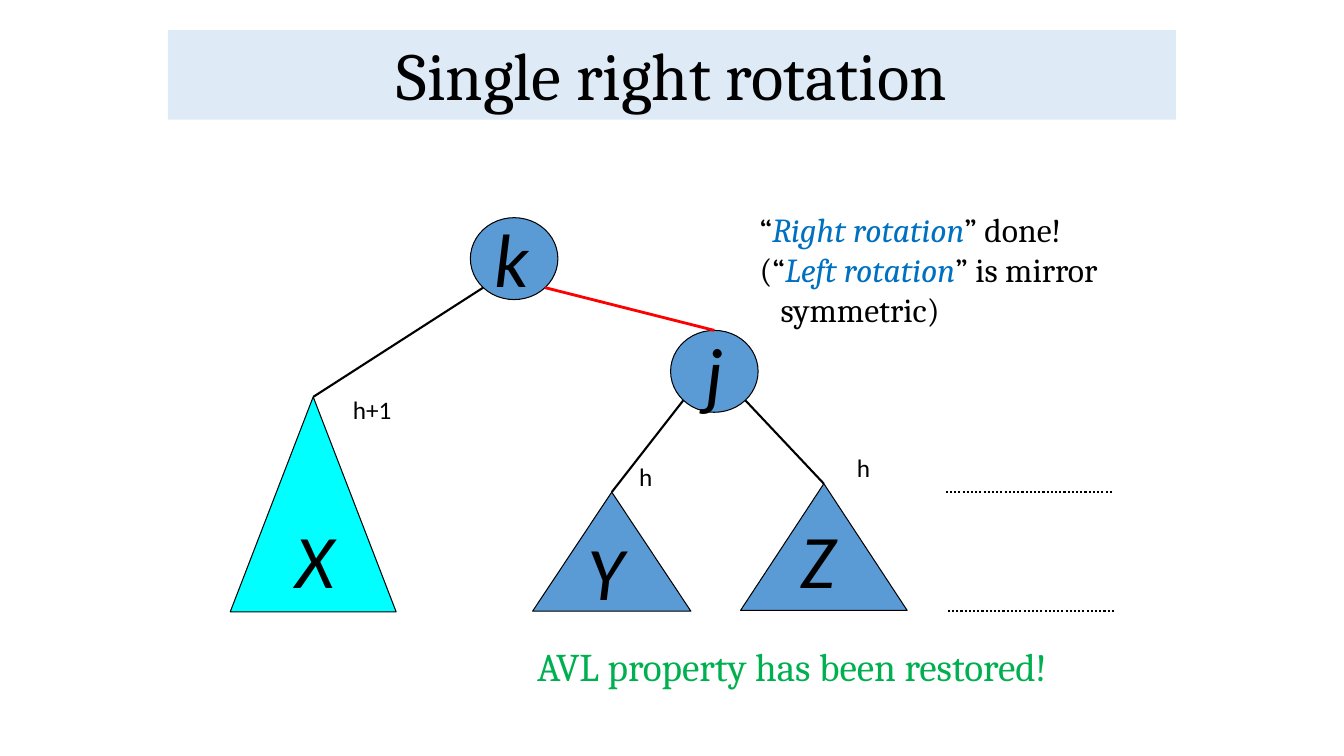
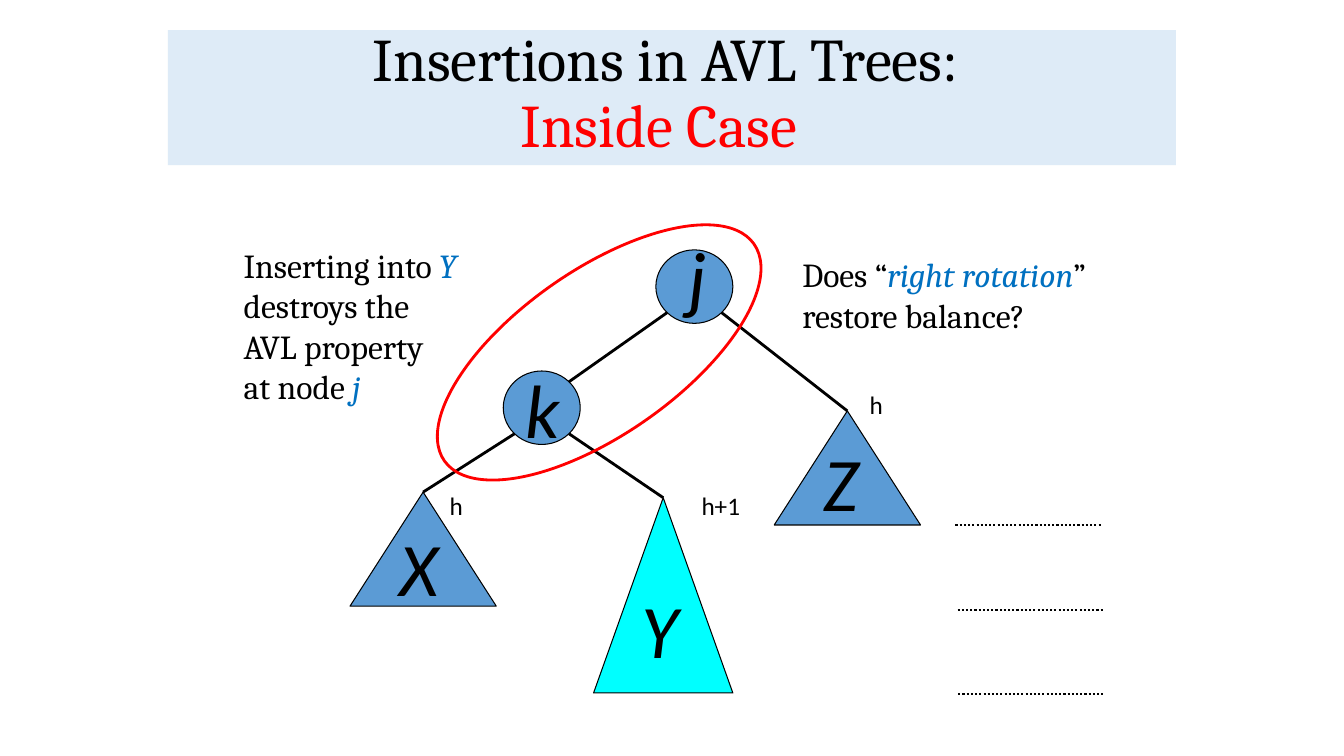
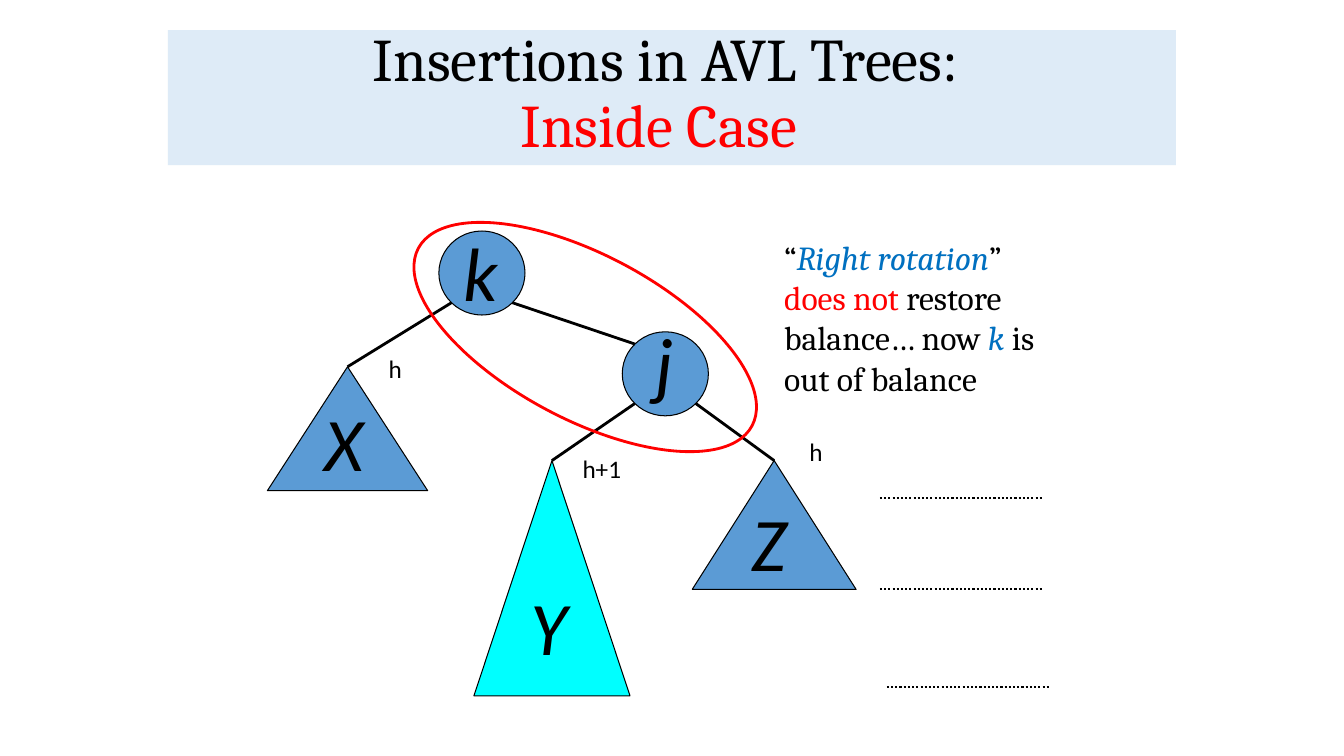
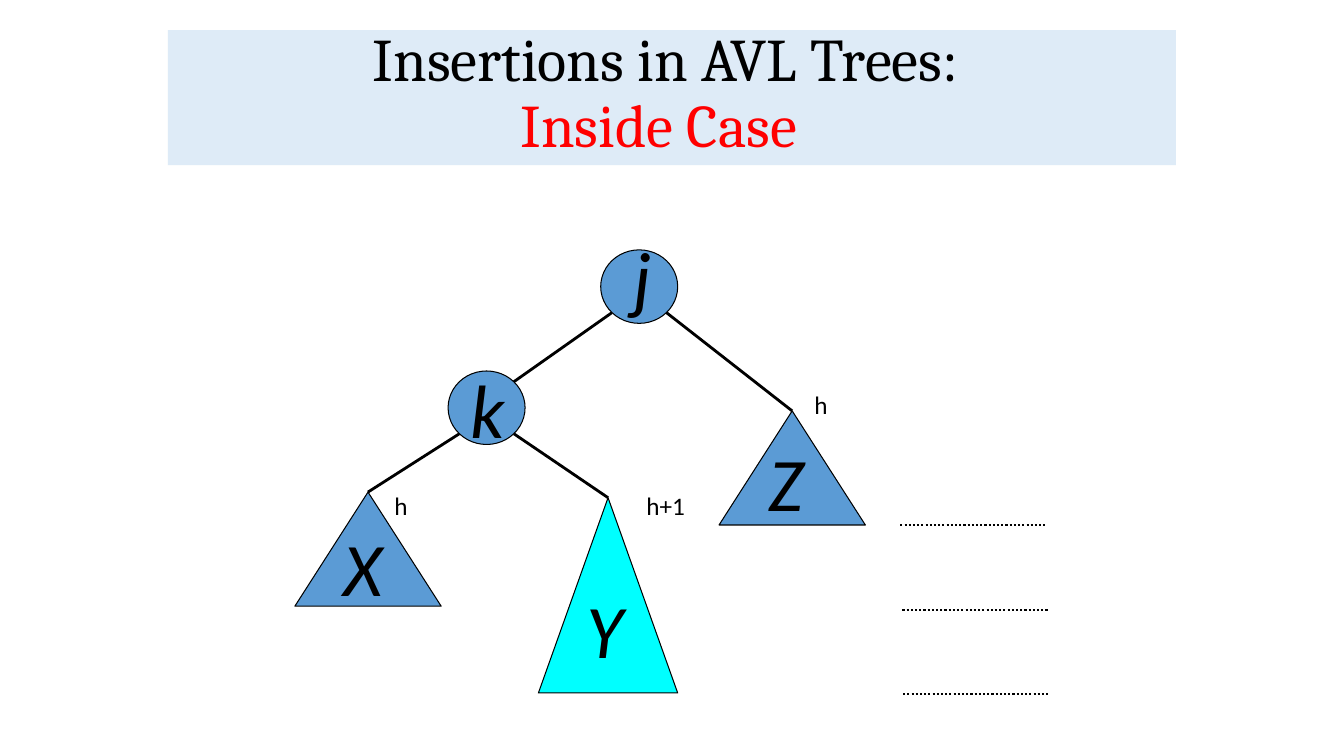
from pptx import Presentation
from pptx.dml.color import RGBColor
from pptx.enum import dml, shapes, text
from pptx.oxml.ns import qn
from pptx.util import Pt
from lxml import etree

COLORS = {"band": "DEEBF7", "node": "5B9BD5", "grown": "00FFFF", "ink": "000000",
          "term": "0070C0", "alert": "FF0000", "good": "00B050"}
HEAD, BODY = "Cambria", "Calibri"

ROTATION = {
    "title": [["Single right rotation"]], "title_size": 48, "band_h": 64,
    "circle": (62.5, 58.5),
    "nodes": {"j": (479, 236, None), "k": (336, 155.5, (346.5, 147.5))},
    "subtrees": {"X": (164.5, 283.5, 118.5, 153.5, (204, 363), "grown"),
                 "Y": (380.5, 351.5, 113, 85, (412.5, 371.5), "node"),
                 "Z": (529, 345.5, 119, 90.5, (565, 363), "node")},
    "edges": [("k", "X", "ink", 1.5), ("j", "Y", "ink", 1.5), ("j", "Z", "ink", 1.5),
              ("k", "j", "alert", 2)],
    "top_entry": {"j"},
    "levels": [(675.5, 351.5), (677, 436.5)], "level_w": 119,
    "heights": [("h", 605, 319.5), ("h+1", 245, 278), ("h", 449.5, 326)],
    "notes": [
        (535.5, 145.5, 282, 94, 24, False, [
            ["“", ("Right rotation", "term"), "” done!"],
            ["(“", ("Left rotation", "term"), "” is mirror"],
            {"runs": ["symmetric)"], "marL": 15}]),
        (355.5, 455.5, 420.5, 41, 28, True,
         [[("AVL property has been restored!", "good")]])],
}

INSIDE = {
    "title": [{"runs": ["Insertions in AVL Trees:"], "marR": 9.5},
              {"runs": [("Inside Case", "alert")], "marR": 19}],
    "title_size": 43.2, "band_h": 96.5,
    "circle": (55, 52.5),
    "nodes": {"j": (468.5, 178.5, (484.5, 160.5)), "k": (359.5, 265, (368.5, 255.5))},
    "subtrees": {"X": (250, 351.5, 104.5, 81.5, (278, 368.5), "node"),
                 "Y": (424, 355.5, 99.5, 139.5, (451.5, 412.5), "grown"),
                 "Z": (553, 293.5, 104.5, 81.5, (581, 307.5), "node")},
    "edges": [("j", "k", "ink", 2), ("k", "X", "ink", 2), ("k", "Y", "ink", 2),
              ("j", "Z", "ink", 2)],
    "levels": [(682.5, 375), (684, 435.5), (684.5, 495.5)], "level_w": 104.5,
    "heights": [("h", 614, 274.5), ("h+1", 494, 346.5), ("h", 314, 346.5)],
    "notes": [
        (167, 171.5, 188, 124, 24, False, [
            ["Inserting into ", ("Y", "term")], ["destroys the"], ["AVL property"],
            ["at node ", ("j", "term")]]),
        (566, 178, 243.5, 65.5, 24, False, [
            ["Does “", ("right rotation", "term"), "”"], ["restore balance?"]])],
    "ring": (293, 193, 325),
}

UNBALANCED = INSIDE | {
    "circle": (61.5, 60),
    "nodes": {"j": (444.5, 237, (461.5, 222)), "k": (313.5, 165, (324, 157.5))},
    "subtrees": {"X": (191, 262, 114.5, 88.5, (224.5, 279.5), "node"),
                 "Y": (338.5, 329, 111.5, 168, (372, 410.5), "grown"),
                 "Z": (494.5, 329, 117, 92, (530, 350.5), "node")},
    "edges": [("j", "Y", "ink", 2), ("k", "X", "ink", 2), ("j", "Z", "ink", 2),
              ("k", "j", "ink", 2)],
    "levels": [(628.5, 355.5), (628.5, 421), (633.5, 490.5)], "level_w": 117,
    "heights": [("h", 571, 308), ("h+1", 409, 320.5), ("h", 270.5, 248.5)],
    "notes": [(553, 165.5, 209.5, 124, 24, False, [
        ["“", ("Right rotation", "term"), "”"],
        [("does not ", "alert"), "restore"],
        ["balance… now ", ("k", "term"), " is"],
        ["out of balance"]])],
    "ring": (283, 182, 28),
}

SLIDES = [(ROTATION, 0), (INSIDE, 0), (UNBALANCED, 0),
          (INSIDE | {"notes": [], "ring": None}, -39.4)]


def rgb(name):
    return RGBColor.from_string(COLORS[name])


def write(tf, paras, size, font, center=False, italic=False, spacing=None):
    for i, para in enumerate(paras):
        para = para if isinstance(para, dict) else {"runs": para}
        p = tf.paragraphs[0] if i == 0 else tf.add_paragraph()
        p.alignment = text.PP_ALIGN.CENTER if center else text.PP_ALIGN.LEFT
        p.line_spacing = spacing
        for side in ("marL", "marR"):
            if side in para:
                p._p.get_or_add_pPr().set(side, str(Pt(para[side])))
        for run in para["runs"]:
            words, color = run if isinstance(run, tuple) else (run, "ink")
            r = p.add_run()
            r.text = words
            r.font.size, r.font.name = Pt(size), font
            r.font.italic = italic or color == "term"
            r.font.color.rgb = rgb(color)


def add_text(s, x, y, w, h, paras, size, font, **style):
    tf = s.shapes.add_textbox(Pt(x), Pt(y), Pt(w), Pt(h)).text_frame
    tf.word_wrap = True
    write(tf, paras, size, font, **style)


def add_letter(s, letter, x, y):
    add_text(s, x, y, 44, 72, [[letter]], 54, BODY, italic=True)


def add_figure(s, kind, x, y, w, h, fill=None, line="ink", width=0.75):
    sp = s.shapes.add_shape(kind, Pt(x), Pt(y), Pt(w), Pt(h))
    sp.shadow.inherit = False
    if fill:
        sp.fill.solid()
        sp.fill.fore_color.rgb = rgb(fill)
    else:
        sp.fill.background()
    sp.line.color.rgb, sp.line.width = rgb(line), Pt(width)
    return sp


def add_line(s, start, end, color, width, dotted=False):
    c = s.shapes.add_connector(shapes.MSO_CONNECTOR.STRAIGHT, *map(Pt, start + end))
    c.line.color.rgb, c.line.width = rgb(color), Pt(width)
    if dotted:
        c.line.dash_style = dml.MSO_LINE.ROUND_DOT
    etree.SubElement(c._element.spPr, qn("a:effectLst"))


def add_title(s, d):
    sp = s.shapes.title
    sp.left, sp.top, sp.width, sp.height = Pt(120), Pt(21.5), Pt(720), Pt(d["band_h"])
    sp.fill.solid()
    sp.fill.fore_color.rgb = rgb("band")
    tf = sp.text_frame
    tf.auto_size = text.MSO_AUTO_SIZE.NONE
    tf.vertical_anchor = text.MSO_ANCHOR.BOTTOM
    write(tf, d["title"], d["title_size"], HEAD, center=True, spacing=0.9)


def add_tree(s, d, dx):
    w, h = d["circle"]
    nodes, subtrees = d["nodes"], d["subtrees"]

    def rim(node, right, low):
        x, y, _ = nodes[node]
        return (x + dx + w * (0.854 if right else 0.146),
                y + h * (0.854 if low else 0.146))

    def middle(name):
        x, width = (nodes[name][0], w) if name in nodes else subtrees[name][::2][:2]
        return x + dx + width / 2

    for name, (x, y, letter) in nodes.items():
        sp = add_figure(s, shapes.MSO_SHAPE.OVAL, x + dx, y, w, h, "node")
        if letter:
            add_letter(s, name, letter[0] + dx, letter[1])
        else:
            sp.text_frame.word_wrap = False
            sp.text_frame.vertical_anchor = text.MSO_ANCHOR.MIDDLE
            write(sp.text_frame, [[name]], 54, BODY, center=True, italic=True)
    for name, (x, y, width, height, letter, fill) in subtrees.items():
        add_figure(s, shapes.MSO_SHAPE.ISOSCELES_TRIANGLE, x + dx, y, width, height, fill)
        add_letter(s, name, letter[0] + dx, letter[1])
    for parent, child, color, width in d["edges"]:
        right = middle(child) > middle(parent)
        if child in nodes and child not in d.get("top_entry", ()):
            end = rim(child, not right, False)
        else:
            end = middle(child), (nodes | subtrees)[child][1]
        add_line(s, rim(parent, right, True), end, color, width)


def build(prs, d, dx):
    s = prs.slides.add_slide(prs.slide_layouts[5])
    add_title(s, d)
    add_tree(s, d, dx)
    for x, y in d["levels"]:
        add_line(s, (x + dx, y), (x + dx + d["level_w"], y), "ink", 1.5, True)
    for label, x, y in d["heights"]:
        add_text(s, x + dx, y, 26 if label == "h" else 48, 31, [[label]], 18, BODY)
    for x, y, w, h, size, center, paras in d["notes"]:
        add_text(s, x, y, w, h, paras, size, HEAD, center=center)
    if d.get("ring"):
        x, y, angle = d["ring"]
        ring = add_figure(s, shapes.MSO_SHAPE.OVAL, x, y, 270, 117.5, None, "alert", 2)
        ring.rotation = angle


def main():
    prs = Presentation()
    prs.slide_width, prs.slide_height = Pt(960), Pt(540)
    for d, dx in SLIDES:
        build(prs, d, dx)
    prs.save("out.pptx")


if __name__ == "__main__":
    main()
